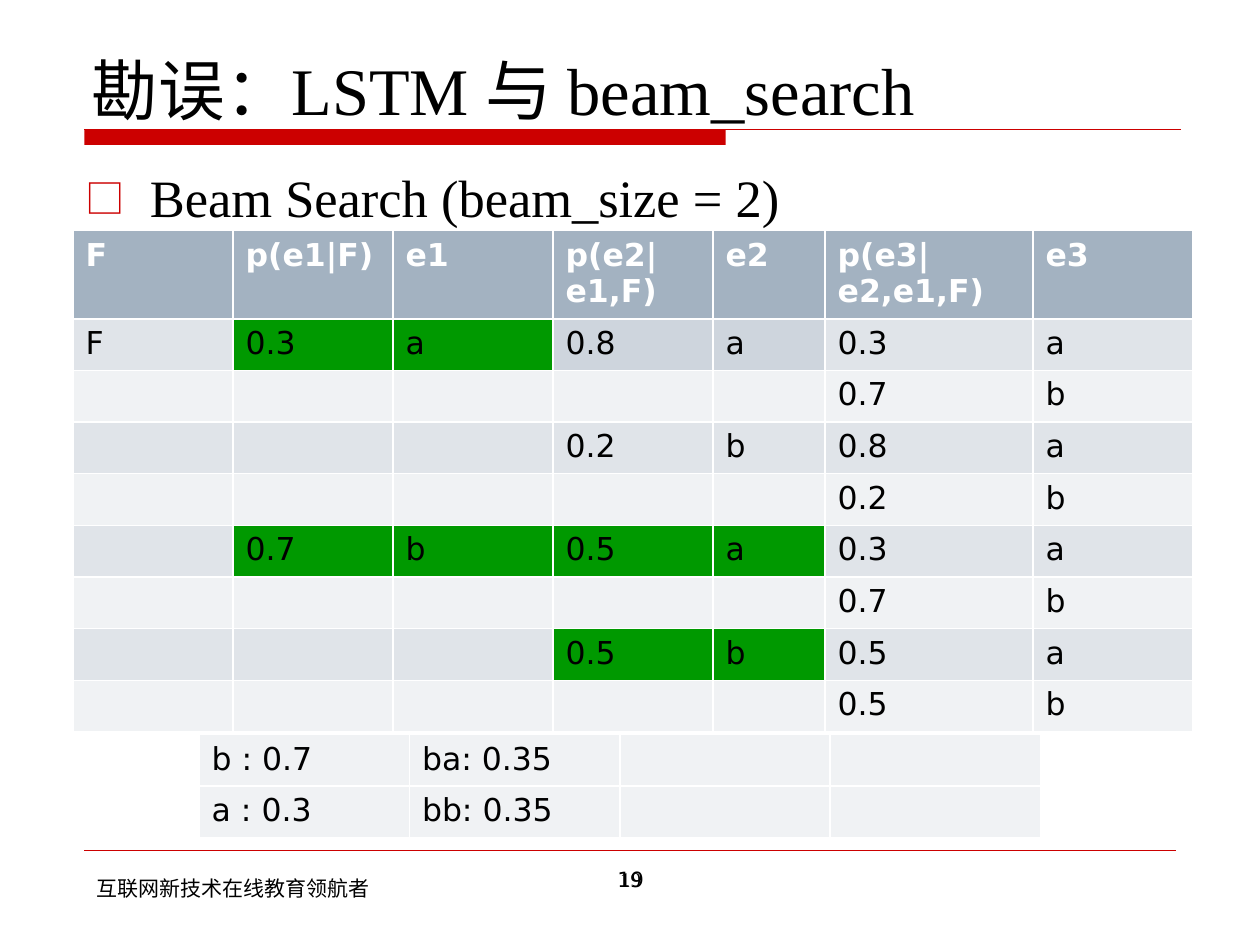
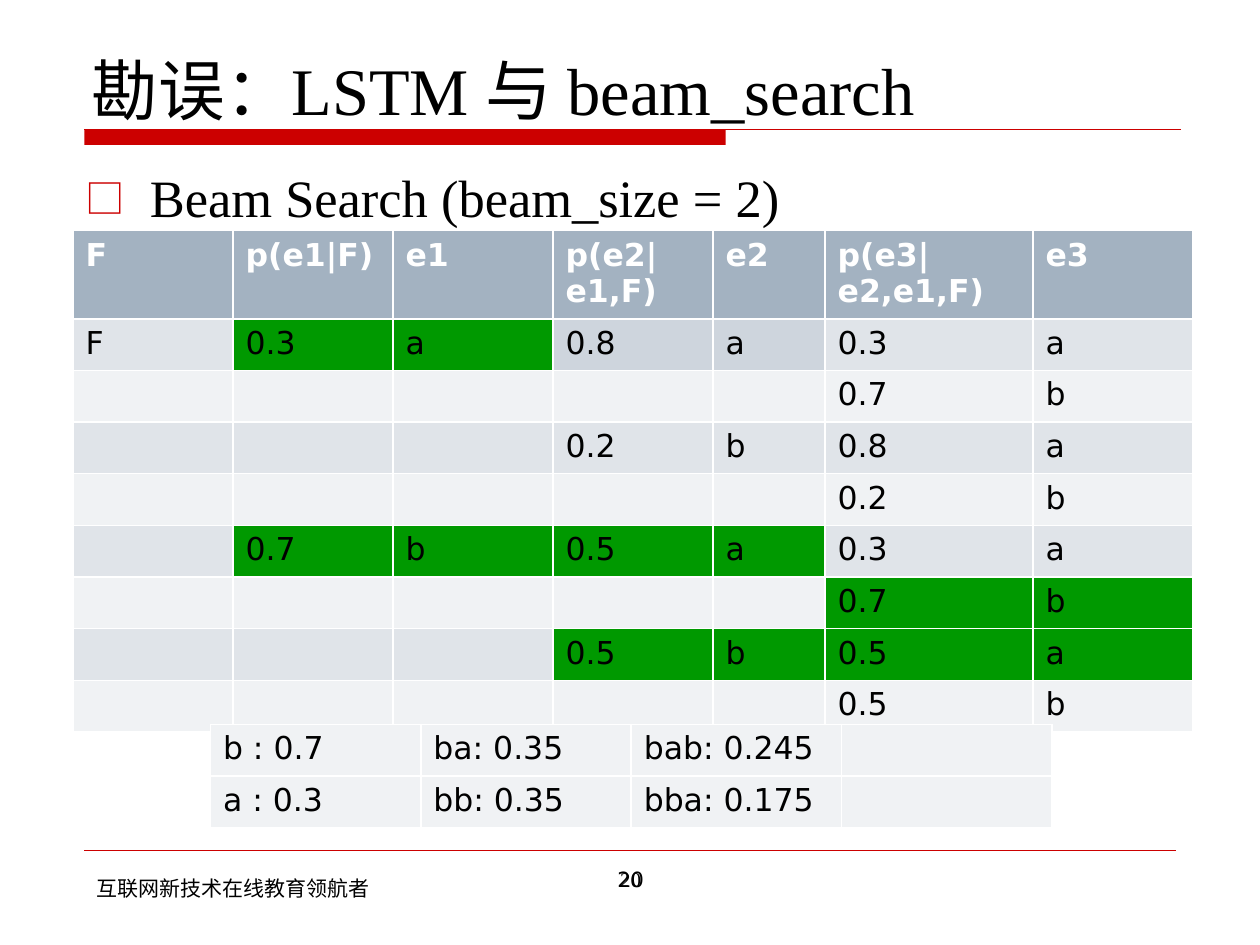
from dataclasses import dataclass

from lxml.etree import SubElement as Sub
from pptx import Presentation
from pptx.dml.color import RGBColor
from pptx.enum.shapes import MSO_CONNECTOR as Link, MSO_SHAPE as Kind
from pptx.enum.text import MSO_ANCHOR as Anchor, MSO_AUTO_SIZE as Auto, PP_ALIGN as Align
from pptx.oxml.ns import qn
from pptx.slide import Slide
from pptx.text.text import TextFrame
from pptx.util import Inches, Pt

RED = RGBColor(0xCC, 0x00, 0x00)
GREEN = RGBColor(0x00, 0x99, 0x00)
BLACK = RGBColor(0x00, 0x00, 0x00)
WHITE = RGBColor(0xFF, 0xFF, 0xFF)
HEAD = RGBColor(0xA3, 0xB2, 0xC1)
DARK = RGBColor(0xE0, 0xE4, 0xE9)
LIGHT = RGBColor(0xF0, 0xF2, 0xF4)
PALE = RGBColor(0xCE, 0xD5, 0xDD)

SERIF = "Times New Roman"
SANS = "DejaVu Sans"
HAN = "Noto Sans CJK SC"

TITLE = "勘误：LSTM 与 beam_search"
TOPIC = "Beam Search (beam_size = 2)"
FOOTER = "互联网新技术在线教育领航者"

TREE = (
    ("F", "p(e1|F)", "e1", "p(e2|e1,F)", "e2", "p(e3|e2,e1,F)", "e3"),
    ("F", "0.3", "a", "0.8", "a", "0.3", "a"),
    ("", "", "", "", "", "0.7", "b"),
    ("", "", "", "0.2", "b", "0.8", "a"),
    ("", "", "", "", "", "0.2", "b"),
    ("", "0.7", "b", "0.5", "a", "0.3", "a"),
    ("", "", "", "", "", "0.7", "b"),
    ("", "", "", "0.5", "b", "0.5", "a"),
    ("", "", "", "", "", "0.5", "b"),
)
WIDTHS = (1.27, 1.27, 1.27, 1.27, 0.89, 1.65, 1.27)
HEIGHT = 0.41
FIRST = ((1, 1), (5, 1), (5, 3), (7, 3))
LAST = ((6, 5), (7, 5))


@dataclass(frozen=True)
class Box:
    left: float
    top: float
    width: float
    height: float

    def size(self) -> tuple:
        return tuple(Inches(v) for v in (self.left, self.top, self.width, self.height))


@dataclass(frozen=True)
class Grid:
    left: float
    top: float
    widths: tuple
    rows: tuple
    header: float = 0


@dataclass(frozen=True)
class Page:
    number: int
    picks: tuple
    left: float
    top: float
    beams: tuple


PAGES = (
    Page(19, FIRST, 1.58, 5.83,
         (("b : 0.7", "ba: 0.35", "", ""), ("a : 0.3", "bb: 0.35", "", ""))),
    Page(20, FIRST + LAST, 1.67, 5.75,
         (("b : 0.7", "ba: 0.35", "bab: 0.245", ""),
          ("a : 0.3", "bb: 0.35", "bba: 0.175", ""))),
)


def write(frame: TextFrame, text: str, size: int, face: str,
          color: RGBColor = BLACK, bold: bool = False) -> None:
    frame.text = text
    for run in frame.paragraphs[0].runs:
        font = run.font
        font.size, font.name, font.bold = Pt(size), face, bold
        font.color.rgb = color
        Sub(font._element, qn("a:ea"), typeface=HAN)


def place(shape, box: Box) -> TextFrame:
    shape.left, shape.top, shape.width, shape.height = box.size()
    frame = shape.text_frame
    frame.auto_size, frame.word_wrap = Auto.NONE, True
    return frame


def rule(slide: Slide, top: float, end: float, weight: float) -> None:
    line = slide.shapes.add_connector(
        Link.STRAIGHT, Inches(0.67), Inches(top), Inches(end), Inches(top))
    line.line.color.rgb, line.line.width = RED, Pt(weight)
    Sub(line._element.spPr, qn("a:effectLst"))


def frame_page(slide: Slide, number: int) -> None:
    band = slide.shapes.add_shape(Kind.RECTANGLE, *Box(0.67, 1.03, 5.09, 0.12).size())
    band.shadow.inherit = False
    band.fill.solid()
    band.fill.fore_color.rgb = RED
    band.line.fill.background()
    rule(slide, 1.03, 9.37, 0.75)
    rule(slide, 6.75, 9.33, 0.25)
    foot = slide.shapes.add_textbox(*Box(0.67, 6.9, 2.39, 0.3).size()).text_frame
    foot.word_wrap, foot.auto_size = False, Auto.SHAPE_TO_FIT_TEXT
    write(foot, FOOTER, 12, HAN)
    foot.paragraphs[0].space_before = Pt(3)
    for face in (SERIF, SANS):
        box = slide.shapes.add_textbox(*Box(3.42, 6.83, 3.17, 0.52).size())
        box.text_frame.word_wrap = True
        write(box.text_frame, str(number), 12, face)
        box.text_frame.paragraphs[0].alignment = Align.CENTER


def add_text(slide: Slide) -> None:
    title = place(slide.shapes.title, Box(0.63, 0.33, 8.75, 0.74))
    title.vertical_anchor = Anchor.BOTTOM
    write(title, TITLE, 38, SERIF)
    title.paragraphs[0].alignment = Align.LEFT
    body = place(slide.placeholders[1], Box(0.58, 1.26, 8.75, 5.12))
    write(body, TOPIC, 30, SERIF)
    item = body.paragraphs[0]
    item.space_before = Pt(6)
    props = item._p.get_or_add_pPr()
    props.set("marL", str(Inches(0.51)))
    props.set("indent", str(-Inches(0.51)))
    Sub(Sub(props, qn("a:buClr")), qn("a:srgbClr"), val=str(RED))
    Sub(props, qn("a:buSzPct"), val="75000")
    Sub(props, qn("a:buFont"), typeface=HAN)
    Sub(props, qn("a:buChar"), char="□")


def add_grid(slide: Slide, grid: Grid, fills: dict) -> None:
    count = len(grid.rows)
    tall = [HEIGHT] * count
    if grid.header:
        tall[0] = grid.header
    box = Box(grid.left, grid.top, sum(grid.widths), sum(tall))
    table = slide.shapes.add_table(count, len(grid.widths), *box.size()).table
    table.first_row = bool(grid.header)
    table.horz_banding = False
    for col, width in zip(table.columns, grid.widths):
        col.width = Inches(width)
    for r, texts in enumerate(grid.rows):
        table.rows[r].height = Inches(tall[r])
        head = bool(grid.header) and r == 0
        for c, text in enumerate(texts):
            cell = table.cell(r, c)
            cell.fill.solid()
            cell.fill.fore_color.rgb = fills.get((r, c), LIGHT)
            if text:
                write(cell.text_frame, text, 18, SANS, WHITE if head else BLACK, head)


def shade(picks: tuple) -> dict:
    cols = range(len(WIDTHS))
    fills = {(r, c): DARK for r in range(1, len(TREE), 2) for c in cols}
    fills.update({(0, c): HEAD for c in cols})
    fills.update({(1, c): PALE for c in (3, 4)})
    fills.update({(r, c + n): GREEN for r, c in picks for n in (0, 1)})
    return fills


def main() -> None:
    deck = Presentation()
    deck.slide_width, deck.slide_height = Inches(10), Inches(7.5)
    for page in PAGES:
        slide = deck.slides.add_slide(deck.slide_layouts[1])
        add_text(slide)
        frame_page(slide, page.number)
        add_grid(slide, Grid(0.58, 1.83, WIDTHS, TREE, 0.5), shade(page.picks))
        add_grid(slide, Grid(page.left, page.top, (1.67,) * 4, page.beams), {})
    deck.save("out.pptx")


if __name__ == "__main__":
    main()
